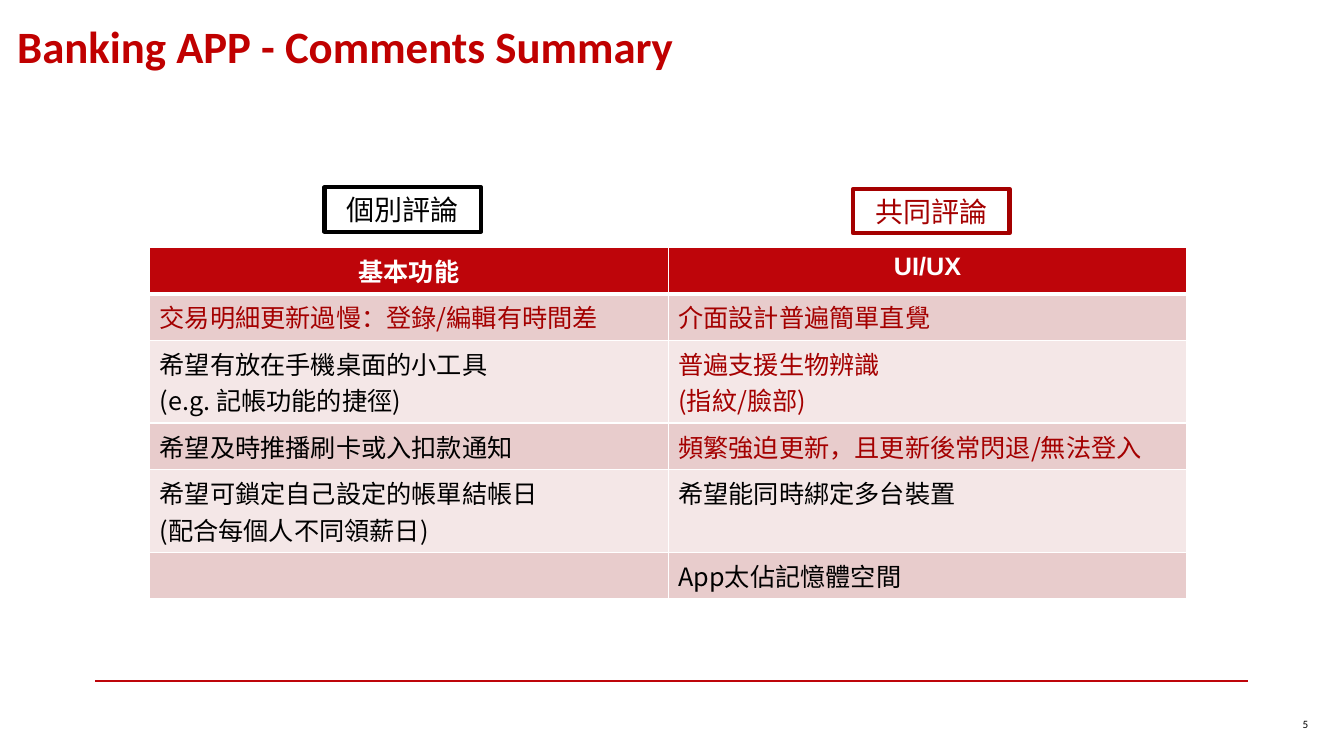
import pptx
import pptx.util
import pptx.dml.color
import pptx.enum.shapes
import pptx.enum.text
import pptx.oxml
import pptx.oxml.ns

Cm, Pt = pptx.util.Cm, pptx.util.Pt
Align = pptx.enum.text.PP_ALIGN
Anchor = pptx.enum.text.MSO_ANCHOR
Kind = pptx.enum.shapes.MSO_SHAPE
tint = pptx.dml.color.RGBColor.from_string
hue = {"title": "C00000", "brand": "BE050A", "shared": "A40000", "text": "000000",
       "white": "FFFFFF", "dark": "E8CCCC", "light": "F4E7E7"}


def write(frame, text, color, align=Align.LEFT, **form):
    frame.text = text
    for para in frame.paragraphs:
        para.alignment = align
        for run in para.runs:
            run.font.color.rgb = tint(hue[color])
            for key, val in form.items():
                setattr(run.font, key, val)
            if form["name"].startswith("Noto"):
                east = pptx.oxml.parse_xml(
                    f'<a:ea {pptx.oxml.ns.nsdecls("a")} typeface="{form["name"]}"/>')
                run.font._element.find(pptx.oxml.ns.qn("a:latin")).addnext(east)


deck = pptx.Presentation()
deck.slide_width, deck.slide_height = Cm(33.87), Cm(19.05)
slide = deck.slides.add_slide(deck.slide_layouts[5])
shapes = slide.shapes

# Footer rule
rule = shapes.add_connector(pptx.enum.shapes.MSO_CONNECTOR.STRAIGHT,
                            Cm(2.4), Cm(17.15), Cm(31.45), Cm(17.15))
rule.line.color.rgb = tint(hue["brand"])
rule.line.width = Pt(1.5)
rule._element.spPr.append(
    pptx.oxml.parse_xml(f'<a:effectLst {pptx.oxml.ns.nsdecls("a")}/>'))

# Title
title = shapes.title
title.left, title.top, title.width, title.height = Cm(0.18), Cm(0.36), Cm(33.69), Cm(1.6)
title.text_frame.vertical_anchor = Anchor.MIDDLE
write(title.text_frame, "Banking APP - Comments Summary", "title",
      name="Calibri", size=Pt(32), bold=True)

# Page number
page = shapes.add_textbox(Cm(29.26), Cm(17.7), Cm(3.96), Cm(1.07)).text_frame
page.word_wrap = True
page.vertical_anchor = Anchor.MIDDLE
write(page, "5", "text", Align.RIGHT, name="Calibri", size=Pt(8))

# Comments table: text and colour of each cell
rows = [
    [("基本功能", "white"), ("UI/UX", "white")],
    [("交易明細更新過慢：登錄/編輯有時間差", "shared"), ("介面設計普遍簡單直覺", "shared")],
    [("希望有放在手機桌面的小工具\n(e.g. 記帳功能的捷徑)", "text"),
     ("普遍支援生物辨識\n(指紋/臉部)", "shared")],
    [("希望及時推播刷卡或入扣款通知", "text"),
     ("頻繁強迫更新，且更新後常閃退/無法登入", "shared")],
    [("希望可鎖定自己設定的帳單結帳日\n(配合每個人不同領薪日)", "text"),
     ("希望能同時綁定多台裝置", "text")],
    [("", "text"), ("App太佔記憶體空間", "text")],
]
table = shapes.add_table(len(rows), 2, Cm(3.77), Cm(6.23), Cm(26.14), Cm(8.8)).table
for r, row in enumerate(rows):
    tall = any("\n" in text for text, color in row)
    table.rows[r].height = Cm(2.09 if tall else 1.17)
    for c, (text, color) in enumerate(row):
        cell = table.cell(r, c)
        head = r == 0
        write(cell.text_frame, text, color, Align.CENTER if head else Align.LEFT,
              name="Arial" if head else "Noto Sans CJK SC", size=Pt(18), bold=head)
        props = cell._tc.get_or_add_tcPr()
        for side in "LRTB":
            thick = (head and side == "B") or (r == 1 and side == "T")
            props.append(pptx.oxml.parse_xml(
                f'<a:ln{side} {pptx.oxml.ns.nsdecls("a")} w="{Pt(3 if thick else 1)}">'
                f'<a:solidFill><a:srgbClr val="{hue["white"]}"/></a:solidFill></a:ln{side}>'))
        cell.fill.solid()
        band = "brand" if head else "dark" if r % 2 else "light"
        cell.fill.fore_color.rgb = tint(hue[band])

# Legend boxes above the columns
for text, color, left, top in [("共同評論", "shared", 21.5, 4.76),
                               ("個別評論", "text", 8.18, 4.72)]:
    box = shapes.add_shape(Kind.RECTANGLE, Cm(left), Cm(top), Cm(3.94), Cm(1.12))
    box.shadow.inherit = False
    box.fill.background()
    box.line.color.rgb = tint(hue[color])
    box.line.width = Pt(3)
    box.text_frame.word_wrap = True
    write(box.text_frame, text, color, Align.CENTER, name="Calibri", size=Pt(20))

deck.save("out.pptx")
